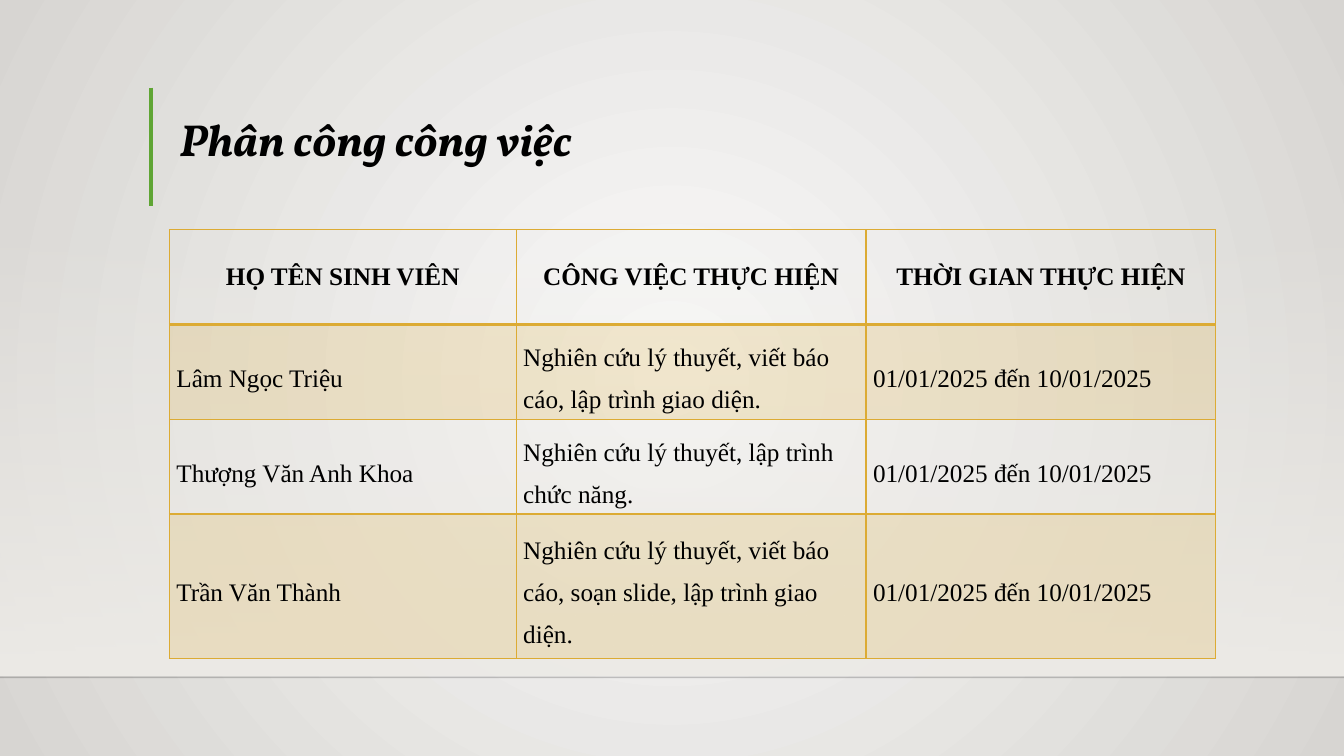
from lxml.etree import SubElement
from pptx import Presentation
from pptx.dml.color import RGBColor as RGB
from pptx.enum.shapes import MSO_CONNECTOR as LINK, MSO_SHAPE as SHAPE
from pptx.enum.text import MSO_ANCHOR as ANCHOR, PP_ALIGN as ALIGN
from pptx.oxml import parse_xml
from pptx.oxml.ns import nsdecls, qn
from pptx.util import Inches, Pt

HUES = {"ink": "000000", "rule": "000001", "gold": "DCAB34", "green": "5FA534",
        "sand": "EDEBE7", "light": "FAFAF9", "dark": "D7D5D2"}
SPAN = "01/01/2025 đến 10/01/2025"
HEADS = ["HỌ TÊN SINH VIÊN", "CÔNG VIỆC THỰC HIỆN", "THỜI GIAN THỰC HIỆN"]
TASKS = [
    ("Lâm Ngọc Triệu", "Nghiên cứu lý thuyết, viết báo cáo, lập trình giao diện."),
    ("Thượng Văn Anh Khoa", "Nghiên cứu lý thuyết, lập trình chức năng."),
    ("Trần Văn Thành",
     "Nghiên cứu lý thuyết, viết báo cáo, soạn slide, lập trình giao diện."),
]


def hue(name):
    return RGB.from_string(HUES[name])


def fade(node, share):
    """Set the opacity, in percent, of the first colour under node."""
    tint = next(node.iter(qn("a:srgbClr")))
    SubElement(tint, qn("a:alpha"), val=str(share * 1000))


def write(frame, text, font="Times New Roman", size=18, bold=False,
          italic=False, align=None, space=None, anchor=ANCHOR.MIDDLE):
    frame.word_wrap = True
    frame.vertical_anchor = anchor
    para = frame.paragraphs[0]
    para.alignment = align
    para.line_spacing = space
    run = para.add_run()
    run.text = text
    face = run.font
    face.name, face.size = font, Pt(size)
    face.bold, face.italic = bold, italic
    face.color.rgb = hue("ink")


def blend(fill, *names):
    fill.gradient()
    for stop, name in zip(fill.gradient_stops, names):
        stop.color.rgb = hue(name)


class Deck:
    """Holds the deck, its current slide and the drawing style."""

    def __init__(self):
        self.deck = Presentation()
        self.deck.slide_width = Inches(13.33)
        self.deck.slide_height = Inches(7.5)
        self.slide = self.deck.slides.add_slide(self.deck.slide_layouts[5])
        self.shapes = self.slide.shapes

    def back(self):
        blend(self.slide.background.fill, "light", "dark")
        grad = next(self.slide.element.iter(qn("a:gradFill")))
        grad.replace(grad.find(qn("a:lin")), parse_xml(
            f'<a:path {nsdecls("a")} path="circle">'
            '<a:fillToRect l="50000" t="50000" r="50000" b="50000"/></a:path>'))

    def veil(self, *box):
        """Draw a band that grows from clear to solid downwards."""
        band = self.shapes.add_shape(SHAPE.RECTANGLE, *map(Inches, box))
        band.shadow.inherit = False
        band.line.fill.background()
        blend(band.fill, "sand", "sand")
        band.fill.gradient_angle = 270
        fade(next(band.element.iter(qn("a:gs"))), 0)

    def line(self, *ends, color, width, share=100):
        link = self.shapes.add_connector(LINK.STRAIGHT, *map(Inches, ends))
        link.line.color.rgb = hue(color)
        link.line.width = Pt(width)
        if share < 100:
            fade(link.line._ln, share)
        SubElement(link.element.spPr, qn("a:effectLst"))

    def title(self, text, *box, **style):
        head = self.shapes.title
        head.left, head.top, head.width, head.height = map(Inches, box)
        write(head.text_frame, text, **style)

    def edge(self, cell, **widths):
        """Border a cell; widths are points for sides L, R, T and B."""
        props = cell._tc.get_or_add_tcPr()
        for spot, (side, width) in enumerate(widths.items()):
            props.insert(spot, parse_xml(
                f'<a:ln{side} {nsdecls("a")} w="{Pt(width)}"><a:solidFill>'
                f'<a:srgbClr val="{HUES["gold"]}"/></a:solidFill></a:ln{side}>'))

    def cell(self, cell, text, row):
        if row:
            cell.margin_left = cell.margin_right = Inches(0.07)
            cell.margin_top = cell.margin_bottom = 0
            write(cell.text_frame, text, space=1.5)
        else:
            write(cell.text_frame, text, bold=True, align=ALIGN.CENTER)
        cell.vertical_anchor = ANCHOR.MIDDLE
        if row % 2:
            cell.fill.solid()
            cell.fill.fore_color.rgb = hue("gold")
            fade(cell._tc.tcPr.find(qn("a:solidFill")), 20)
        else:
            cell.fill.background()
        self.edge(cell, L=1, R=1, T=2 if row == 1 else 1, B=1 if row else 2)

    def table(self, rows, left, top, wide, high):
        size = map(Inches, (left, top, sum(wide), sum(high)))
        grid = self.shapes.add_table(len(high), len(wide), *size).table
        grid.first_row = grid.horz_banding = False
        for col, width in zip(grid.columns, wide):
            col.width = Inches(width)
        for r, height in enumerate(high):
            grid.rows[r].height = Inches(height)
            for c, text in enumerate(rows[r]):
                self.cell(grid.cell(r, c), text, r)


def main():
    page = Deck()
    page.back()
    page.veil(0, 2.2, 13.33, 4.5)
    page.line(0, 6.72, 13.33, 6.72, color="rule", width=1, share=20)
    page.line(1.5, 0.87, 1.5, 2.04, color="green", width=3)
    page.title("Phân công công việc", 1.68, 0.55, 9.84, 1.15, font="Vollkorn",
               size=32, bold=True, italic=True, align=ALIGN.LEFT, space=0.9,
               anchor=ANCHOR.BOTTOM)
    rows = [HEADS] + [(name, task, SPAN) for name, task in TASKS]
    page.table(rows, 1.68, 2.28, [3.44, 3.47, 3.47], [0.94] * 3 + [1.43])
    page.deck.save("out.pptx")


if __name__ == "__main__":
    main()
